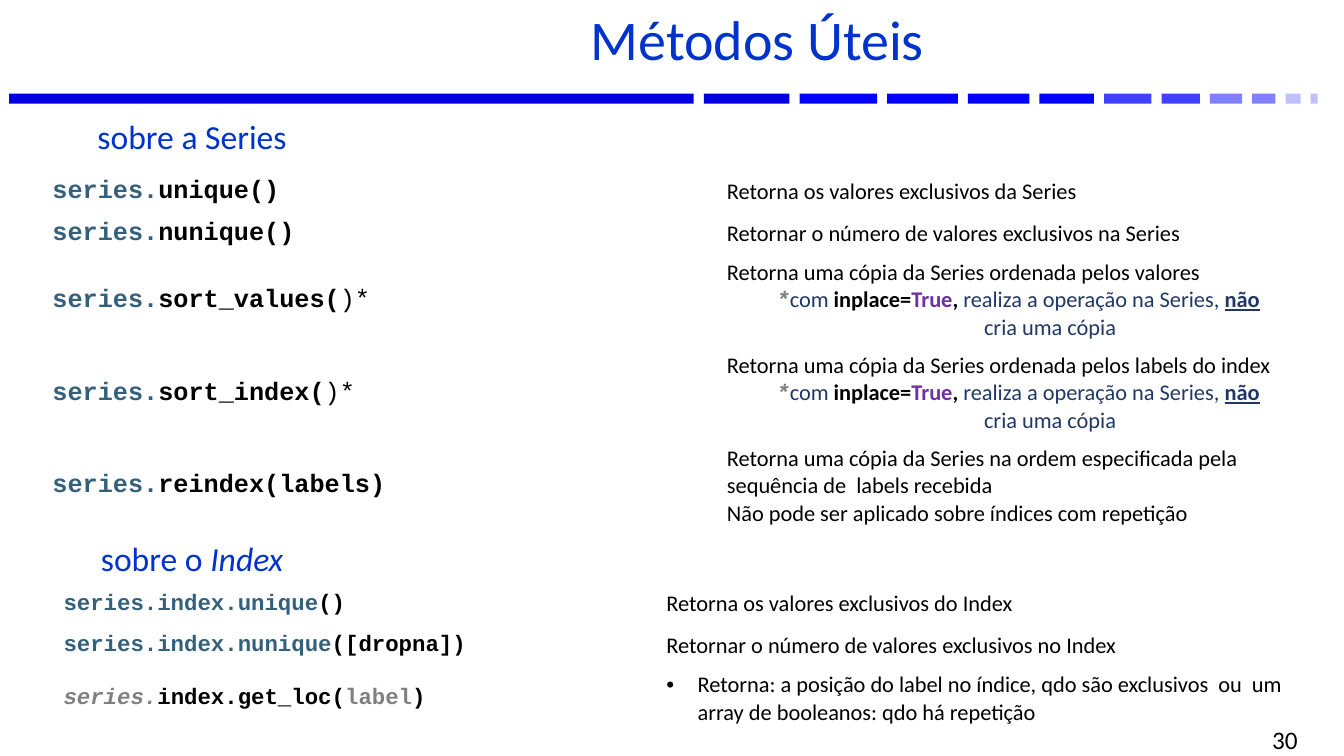
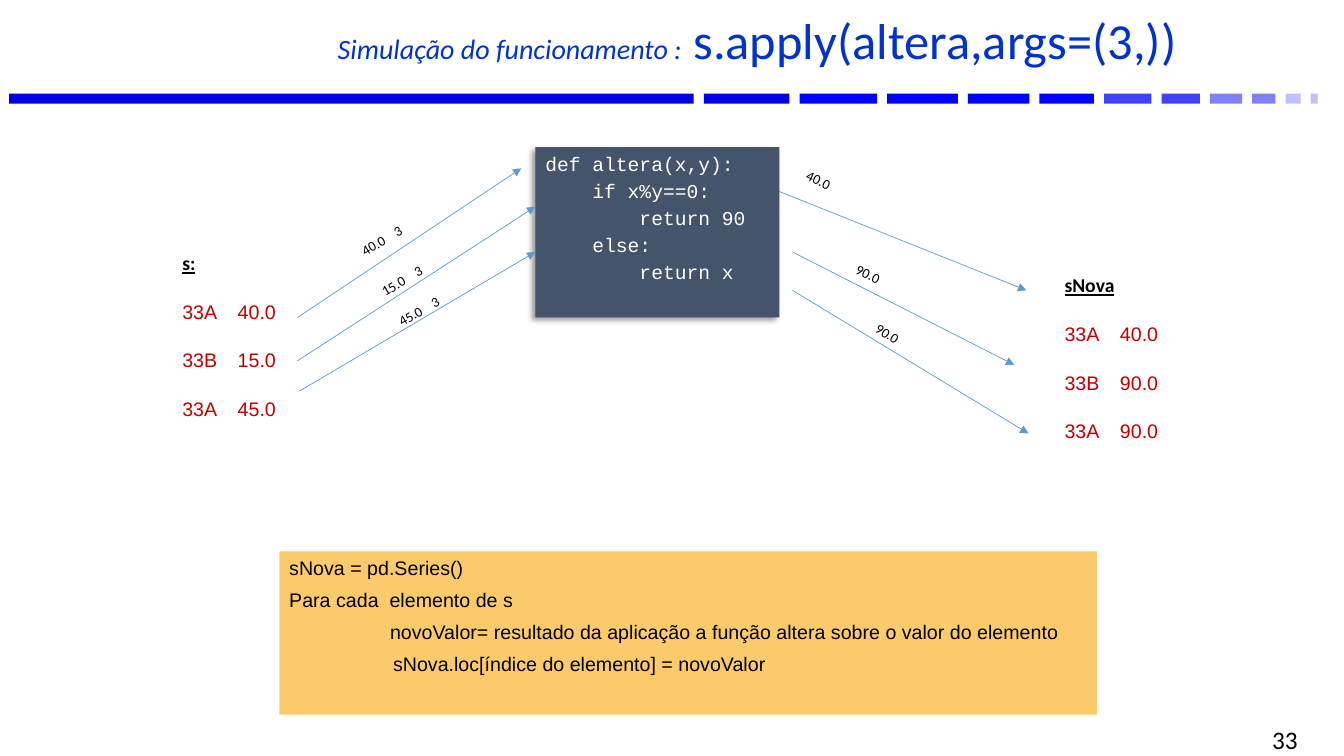
"""Build two slides on pandas Series methods and the apply simulation."""
from dataclasses import dataclass, replace
from typing import NamedTuple, Optional

from lxml import etree
from pptx import Presentation, util as u
from pptx.dml.color import RGBColor
from pptx.enum import shapes, text
from pptx.oxml import ns

COLORS = {
    "title": "0033CC", "black": "000000", "white": "FFFFFF", "object": "35607C",
    "muted": "808080", "note": "203864", "keyword": "7030A0", "values": "C00000",
    "code": "44546A", "steps": "FBCB6B", "arrow": "5B9BD5",
    "band1": "0000E0", "band2": "0000FF", "band3": "4040FF", "band4": "8080FF", "band5": "C0C0FF",
}
BANDS = [
    (6.79, "band1"), (0.85, "band1"), (0.77, "band2"), (0.7, "band2"), (0.61, "band2"), (0.54, "band2"),
    (0.47, "band3"), (0.38, "band3"), (0.32, "band4"), (0.23, "band4"), (0.15, "band5"), (0.07, "band5"),
]
BAND_GAP = 0.1
MONO = "Courier New"
LEFT, CENTER, RIGHT = text.PP_ALIGN.LEFT, text.PP_ALIGN.CENTER, text.PP_ALIGN.RIGHT
TOP, MIDDLE = text.MSO_ANCHOR.TOP, text.MSO_ANCHOR.MIDDLE


class Box(NamedTuple):
    left: float
    top: float
    width: float
    height: float

    def inches(self) -> list:
        return [u.Inches(length) for length in self]


class Run(NamedTuple):
    text: str
    color: Optional[str] = None
    bold: Optional[bool] = None
    italic: Optional[bool] = None
    underline: Optional[bool] = None
    size: Optional[int] = None
    font: Optional[str] = None


@dataclass(frozen=True)
class Para:
    runs: tuple
    size: int = 16
    font: str = "Calibri"
    color: str = "black"
    bold: bool = False
    underline: bool = False
    align: int = LEFT
    spacing: Optional[float] = None
    before: float = 0
    margin: float = 0
    indent: float = 0
    bullet: str = ""
    tab: float = 0


class Arrow(NamedTuple):
    start: tuple
    end: tuple
    label: str
    label_at: tuple
    rotation: float


def rgb(name: str) -> RGBColor:
    return RGBColor.from_string(COLORS[name])


def line(words: str, **style) -> Para:
    return Para((Run(words),), **style)


def write_para(p, para: Para) -> None:
    props = p._p.get_or_add_pPr()
    if para.margin or para.indent:
        props.set("marL", str(u.Inches(para.margin)))
        props.set("indent", str(u.Inches(para.indent)))
    if para.bullet:
        etree.SubElement(props, ns.qn("a:buFont"), typeface="Arial")
        etree.SubElement(props, ns.qn("a:buChar"), char=para.bullet)
    if para.tab:
        tabs = etree.SubElement(props, ns.qn("a:tabLst"))
        etree.SubElement(tabs, ns.qn("a:tab"), pos=str(u.Inches(para.tab)), algn="l")
    p.alignment = para.align
    p.space_before = u.Pt(para.before)
    if para.spacing:
        p.line_spacing = para.spacing
    p.font.name, p.font.size = para.font, u.Pt(para.size)
    p.font.bold, p.font.underline = para.bold, para.underline
    p.font.color.rgb = rgb(para.color)
    for part in para.runs:
        run = p.add_run()
        run.text = part.text
        run.font.bold, run.font.italic = part.bold, part.italic
        run.font.underline, run.font.name = part.underline, part.font
        if part.size:
            run.font.size = u.Pt(part.size)
        if part.color:
            run.font.color.rgb = rgb(part.color)


def write_frame(frame, paras: list, anchor=TOP) -> None:
    frame.word_wrap = True
    frame.auto_size = text.MSO_AUTO_SIZE.NONE
    frame.vertical_anchor = anchor
    write_paras(frame, paras)


def write_paras(frame, paras: list) -> None:
    for index, para in enumerate(paras):
        write_para(frame.add_paragraph() if index else frame.paragraphs[0], para)


def add_text(slide, box: Box, paras: list, anchor=TOP, rotation: float = 0) -> None:
    label = slide.shapes.add_textbox(*box.inches())
    label.rotation = rotation
    write_frame(label.text_frame, paras, anchor)


def add_rect(slide, box: Box, color: str):
    rect = slide.shapes.add_shape(shapes.MSO_SHAPE.RECTANGLE, *box.inches())
    rect.shadow.inherit = False
    rect.fill.solid()
    rect.fill.fore_color.rgb = rgb(color)
    rect.line.fill.background()
    return rect


def add_page(deck, title: tuple, number: str, size: int):
    slide = deck.slides.add_slide(deck.slide_layouts[5])
    left = 0.09
    for width, color in BANDS:
        add_rect(slide, Box(left, 0.93, width, 0.1), color)
        left += width + BAND_GAP
    heading = slide.shapes.title
    heading.left, heading.top, heading.width, heading.height = Box(1.94, 0.06, 11.14, 0.77).inches()
    write_frame(heading.text_frame, [Para(title, size, color="title", align=CENTER, spacing=0.8)], MIDDLE)
    add_text(slide, Box(9.86, 7.23, 3.11, 0.22), [line(number, size=18, align=RIGHT)], MIDDLE)
    return slide


def add_methods(slide, left: float, top: float, widths: tuple, heights: tuple, rows: list) -> None:
    box = Box(left, top, sum(widths), sum(heights))
    table = slide.shapes.add_table(len(rows), len(widths), *box.inches()).table
    table.first_row = table.horz_banding = False
    for column, width in zip(table.columns, widths):
        column.width = u.Inches(width)
    for row, height, contents in zip(table.rows, heights, rows):
        row.height = u.Inches(height)
        for cell, paras in zip(row.cells, contents):
            cell.fill.background()
            cell.vertical_anchor = MIDDLE
            write_paras(cell.text_frame, paras)


def call(*runs: Run, size: int = 18) -> list:
    return [Para(runs, size, MONO, bold=True)]


def sort_row(method: str, criterion: str) -> tuple:
    note = (
        Run("*", "muted", True, True, font=MONO), Run("com ", "note"), Run("inplace=", bold=True),
        Run("True", "keyword", True), Run(", ", bold=True), Run("realiza a operação na Series, ", "note"),
        Run("não", "note", True, underline=True), Run(" cria uma cópia", "note"),
    )
    return (
        call(Run("series.", "object"), Run(method + "("), Run(")*", bold=False)),
        [line(f"Retorna uma cópia da Series ordenada {criterion}"), Para(note, margin=2.55, indent=-2.06)],
    )


def add_subtitle(slide, top: float, *runs: Run) -> None:
    add_text(slide, Box(-0.3, top, 4.41, 0.77),
             [Para(runs, 24, color="title", align=CENTER, spacing=0.8)], MIDDLE)


def build_methods(deck) -> None:
    slide = add_page(deck, (Run("Métodos Úteis"),), "30", 40)
    series, index = Run("series.", "object"), "series.index."
    add_methods(slide, 0.42, 1.7, (6.69, 5.86), (0.41, 0.41, 0.92, 0.92, 0.92), [
        (call(series, Run("unique()")), [line("Retorna os valores exclusivos da Series")]),
        (call(series, Run("nunique()")), [line("Retornar o número de valores exclusivos na Series")]),
        sort_row("sort_values", "pelos valores"),
        sort_row("sort_index", "pelos labels do index"),
        (call(series, Run("reindex(labels)")), [
            line("Retorna uma cópia da Series na ordem especificada pela sequência de  labels recebida"),
            line("Não pode ser aplicado sobre índices com repetição"),
        ]),
    ])
    add_methods(slide, 0.53, 5.79, (5.98, 6.57), (0.41, 0.41, 0.62), [
        (call(Run(index + "unique", "object"), Run("()"), size=16),
         [line("Retorna os valores exclusivos do Index")]),
        (call(Run(index + "nunique", "object"), Run("([dropna])"), size=16),
         [line("Retornar o número de valores exclusivos no Index")]),
        (call(Run("series.", "muted", italic=True), Run("index.get_loc("), Run("label", "muted"), Run(")"), size=16),
         [line("Retorna: a posição do label no índice, qdo são exclusivos  ou  um array de booleanos: "
               "qdo há repetição", margin=0.31, indent=-0.31, bullet="•")]),
    ])
    add_subtitle(slide, 1, Run("sobre a Series"))
    add_subtitle(slide, 5.19, Run("sobre o "), Run("Index", italic=True))


def add_series(slide, left: float, top: float, name: str, values: tuple) -> None:
    items = [line(f"{label}\t{value}", size=14, font="Arial", color="values", before=18, tab=0.55)
             for label, value in zip(("33A", "33B", "33A"), values)]
    add_text(slide, Box(left, top, 1.24, 2.29), [line(name, size=14, bold=True, underline=True), *items])


def add_arrow(slide, arrow: Arrow) -> None:
    ends = [u.Inches(length) for length in arrow.start + arrow.end]
    connector = slide.shapes.add_connector(shapes.MSO_CONNECTOR.STRAIGHT, *ends)
    connector.line.color.rgb = rgb("arrow")
    connector.line.width = u.Pt(0.5)
    etree.SubElement(connector.line._get_or_add_ln(), ns.qn("a:tailEnd"), type="triangle")
    etree.SubElement(connector._element.spPr, ns.qn("a:effectLst"))
    add_text(slide, Box(*arrow.label_at, 1.04, 0.27), [line(arrow.label, size=10, tab=0.37)],
             rotation=arrow.rotation)


def add_code(slide) -> None:
    code = add_rect(slide, Box(5.31, 1.46, 2.42, 1.69), "code")
    effects = code._element.spPr.find(ns.qn("a:effectLst"))
    shadow = etree.SubElement(effects, ns.qn("a:outerShdw"), blurRad=str(u.Pt(4)), dist=str(u.Pt(3)),
                              dir="8100000", algn="tr", rotWithShape="0")
    tint = etree.SubElement(shadow, ns.qn("a:srgbClr"), val=COLORS["black"])
    etree.SubElement(tint, ns.qn("a:alpha"), val="40000")
    first = line("def altera(x,y):", size=14, font=MONO, color="white")
    body = ("    if x%y==0:", "        return 90", "    else:", "        return x")
    write_frame(code.text_frame, [first, *(replace(first, runs=(Run(row),), spacing=1.15) for row in body)])


def build_simulation(deck) -> None:
    slide = add_page(deck, (Run("Simulação do funcionamento :", italic=True, size=20),
                            Run(" s.apply(altera,args=(3,))")), "33", 36)
    add_series(slide, 1.71, 2.44, "s:", ("40.0", "15.0", "45.0"))
    add_series(slide, 10.46, 2.66, "sNova", ("40.0", "90.0", "90.0"))
    steps = add_rect(slide, Box(2.77, 5.47, 8.11, 1.62), "steps")
    write_frame(steps.text_frame, [
        line(words, size=14, font="Arial", before=before, margin=margin) for words, before, margin in (
            ("sNova = pd.Series()", 0, 0),
            ("Para cada  elemento de s", 6, 0),
            ("novoValor= resultado da aplicação a função altera sobre o valor do elemento", 6, 1),
            ("sNova.loc[índice do elemento] = novoValor", 6, 1.03),
        )
    ])
    add_code(slide)
    for arrow in (
        Arrow((2.95, 3.15), (5.17, 1.67), "40.0\t3", (3.44, 2.15), 329.5),
        Arrow((2.95, 3.58), (5.31, 2.05), "15.0\t3", (3.64, 2.55), 329.8),
        Arrow((2.97, 3.88), (5.31, 2.5), "45.0\t3", (3.81, 2.85), 329.8),
        Arrow((7.73, 1.9), (10.18, 2.88), "40.0", (7.87, 1.78), 25.1),
        Arrow((7.86, 2.5), (10.06, 3.62), "90.0", (8.36, 2.71), 25.1),
        Arrow((7.86, 2.88), (10.2, 4.3), "90.0", (8.53, 3.34), 33.8),
    ):
        add_arrow(slide, arrow)


def main() -> None:
    deck = Presentation()
    deck.slide_width, deck.slide_height = u.Inches(13.33), u.Inches(7.5)
    build_methods(deck)
    build_simulation(deck)
    deck.save("out.pptx")


if __name__ == "__main__":
    main()
